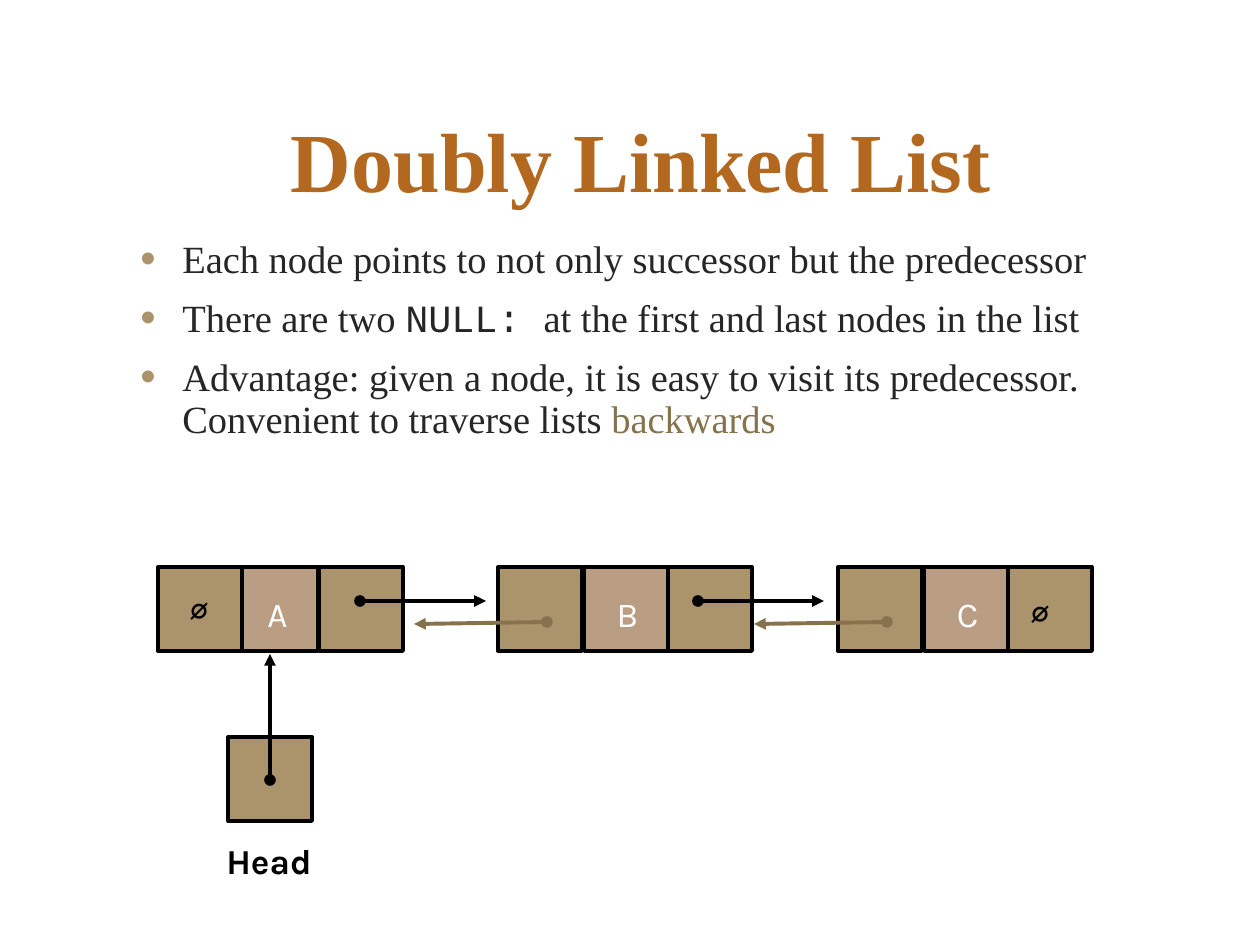
from lxml.etree import SubElement
from pptx import Presentation
from pptx.dml.color import RGBColor
from pptx.enum.shapes import MSO_CONNECTOR, MSO_SHAPE
from pptx.enum.text import MSO_ANCHOR, PP_ALIGN
from pptx.oxml.ns import qn
from pptx.util import Pt

EMU_PER_PX = 914400 / 126
CELL = 84
LINE_WIDTH = Pt(2.25)

ORANGE = RGBColor(0xB3, 0x68, 0x1F)
TEXT = RGBColor(0x26, 0x26, 0x26)
TAN = RGBColor(0xAB, 0x94, 0x6B)
ROSE = RGBColor(0xB9, 0x9E, 0x84)
BROWN = RGBColor(0x86, 0x72, 0x4D)
BLACK = RGBColor(0, 0, 0)
WHITE = RGBColor(0xFF, 0xFF, 0xFF)


def px(*lengths):
    return [round(length * EMU_PER_PX) for length in lengths]


def add_span(para, text, size=20, font="Karla", color=BLACK, bold=False):
    span = para.add_run()
    span.text = text
    span.font.size = Pt(size)
    span.font.name = font
    span.font.color.rgb = color
    span.font.bold = bold


def add_frame(page, box, anchor=MSO_ANCHOR.TOP):
    frame = page.shapes.add_textbox(*px(*box)).text_frame
    frame.word_wrap = True
    frame.vertical_anchor = anchor
    return frame


def add_text(page, box, text, anchor=MSO_ANCHOR.TOP, **text_format):
    para = add_frame(page, box, anchor).paragraphs[0]
    para.alignment = PP_ALIGN.CENTER
    add_span(para, text, **text_format)


def add_bullet(para):
    properties = para._p.get_or_add_pPr()
    margin, indent = px(102, -42)
    properties.set("marL", str(margin))
    properties.set("indent", str(indent))
    color = SubElement(properties, qn("a:buClr"))
    SubElement(color, qn("a:srgbClr"), val=str(TAN))
    SubElement(properties, qn("a:buSzPct"), val="114000")
    SubElement(properties, qn("a:buFont"), typeface="Arial")
    SubElement(properties, qn("a:buChar"), char="•")


def add_bullets(page, box, items):
    frame = add_frame(page, box)
    for index, spans in enumerate(items):
        para = frame.add_paragraph() if index else frame.paragraphs[0]
        add_bullet(para)
        para.level = 1
        para.line_spacing = 0.9
        if index:
            para.space_before = Pt(10)
        for text, changes in spans:
            add_span(para, text, **{"size": 22, "font": "Times New Roman", "color": TEXT, **changes})


def add_cell(page, left, top, fill=TAN):
    cell = page.shapes.add_shape(MSO_SHAPE.RECTANGLE, *px(left, top, CELL, CELL))
    cell.shadow.inherit = False
    cell.fill.solid()
    cell.fill.fore_color.rgb = fill
    cell.line.color.rgb = BLACK
    cell.line.width = LINE_WIDTH


def add_pointer(page, start, end, color=BLACK):
    pointer = page.shapes.add_connector(MSO_CONNECTOR.STRAIGHT, *px(*start, *end))
    pointer.line.color.rgb = color
    pointer.line.width = LINE_WIDTH
    line = pointer.line._get_or_add_ln()
    SubElement(line, qn("a:headEnd"), type="oval")
    SubElement(line, qn("a:tailEnd"), type="triangle")
    SubElement(pointer._element.spPr, qn("a:effectLst"))


def add_node(page, left, top, label, data_offset=86, next_offset=170):
    add_cell(page, left + next_offset, top)
    add_cell(page, left + data_offset, top, fill=ROSE)
    add_text(page, (left + data_offset + 20, top + 19, 47, 54), label, color=WHITE)
    add_cell(page, left, top)


def add_list(page, left, top, pitch):
    # Nodes; the first one has a narrower data cell
    add_node(page, left, top, "A", data_offset=76, next_offset=161)
    add_node(page, left + pitch, top, "B")
    add_node(page, left + 2 * pitch, top, "C")

    # Null ends
    add_text(page, (left + 7, top + 13, 68, 54), "∅", bold=True)
    add_text(page, (left + 855, top + 16, 54, 54), "∅", bold=True)

    # Pointers to the successor and back to the predecessor
    for step, start in enumerate((202, 540)):
        next_left = left + (step + 1) * pitch
        add_pointer(page, (left + start, top + 34), (left + start + 126, top + 34))
        add_pointer(page, (next_left + 49, top + 55), (next_left - 84, top + 57), color=BROWN)


def add_head(page, left, top):
    add_cell(page, left, top)
    add_pointer(page, (left + 42, top + 43), (left + 42, top - 83))
    add_text(page, (left - 31, top + 96, 144, 54), "Head", bold=True)


def main():
    deck = Presentation()
    deck.slide_width, deck.slide_height = px(1260, 945)
    page = deck.slides.add_slide(deck.slide_layouts[6])

    add_text(page, (149, 69, 984, 180), "Doubly Linked List", anchor=MSO_ANCHOR.MIDDLE,
             size=48, font="Times New Roman", color=ORANGE, bold=True)
    add_bullets(page, (68, 234, 1124, 368), [
        [("Each node points to not only successor but the predecessor", {})],
        [("There are two ", {}), ("NULL: ", {"font": "Courier New"}),
         ("at the first and last nodes in the list", {})],
        [("Advantage: given a node, it is easy to visit its predecessor. "
          "Convenient to traverse lists ", {}), ("backwards", {"color": BROWN})],
    ])
    add_list(page, left=158, top=567, pitch=340)
    add_head(page, left=228, top=737)

    deck.save("out.pptx")


if __name__ == "__main__":
    main()
